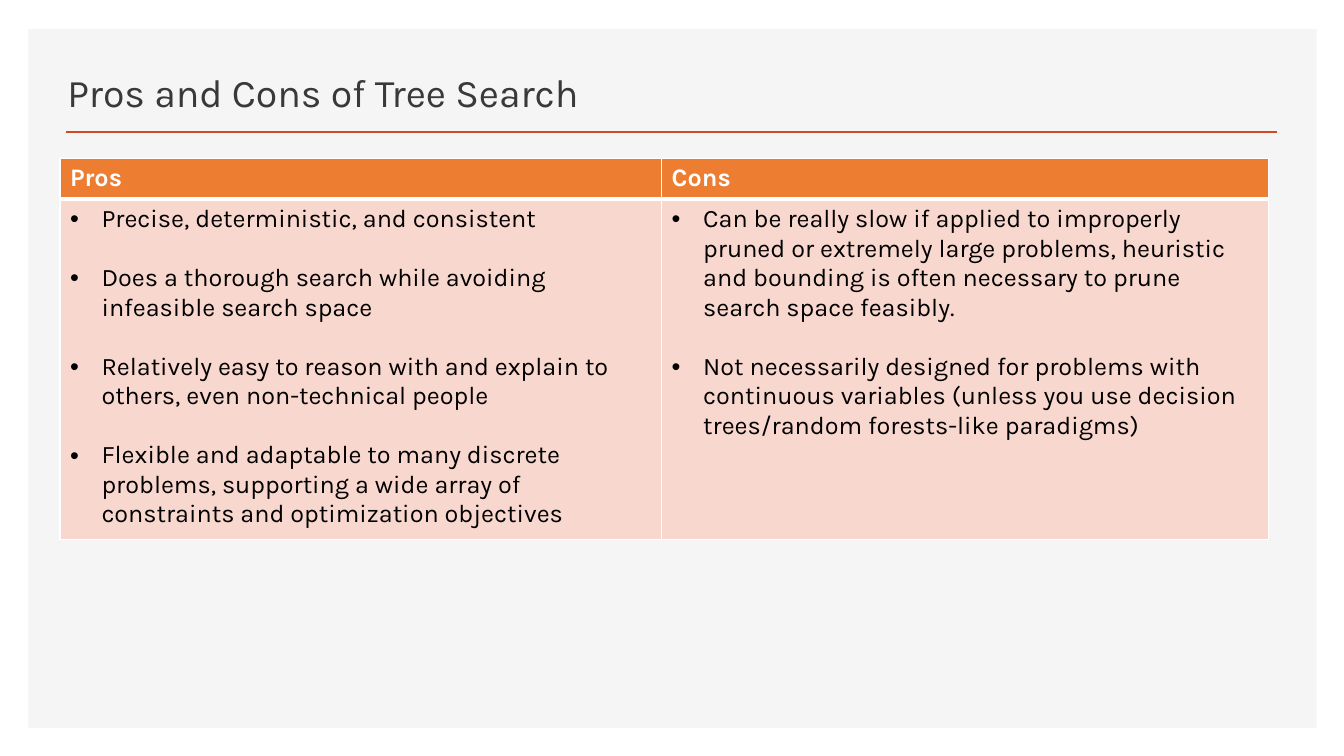
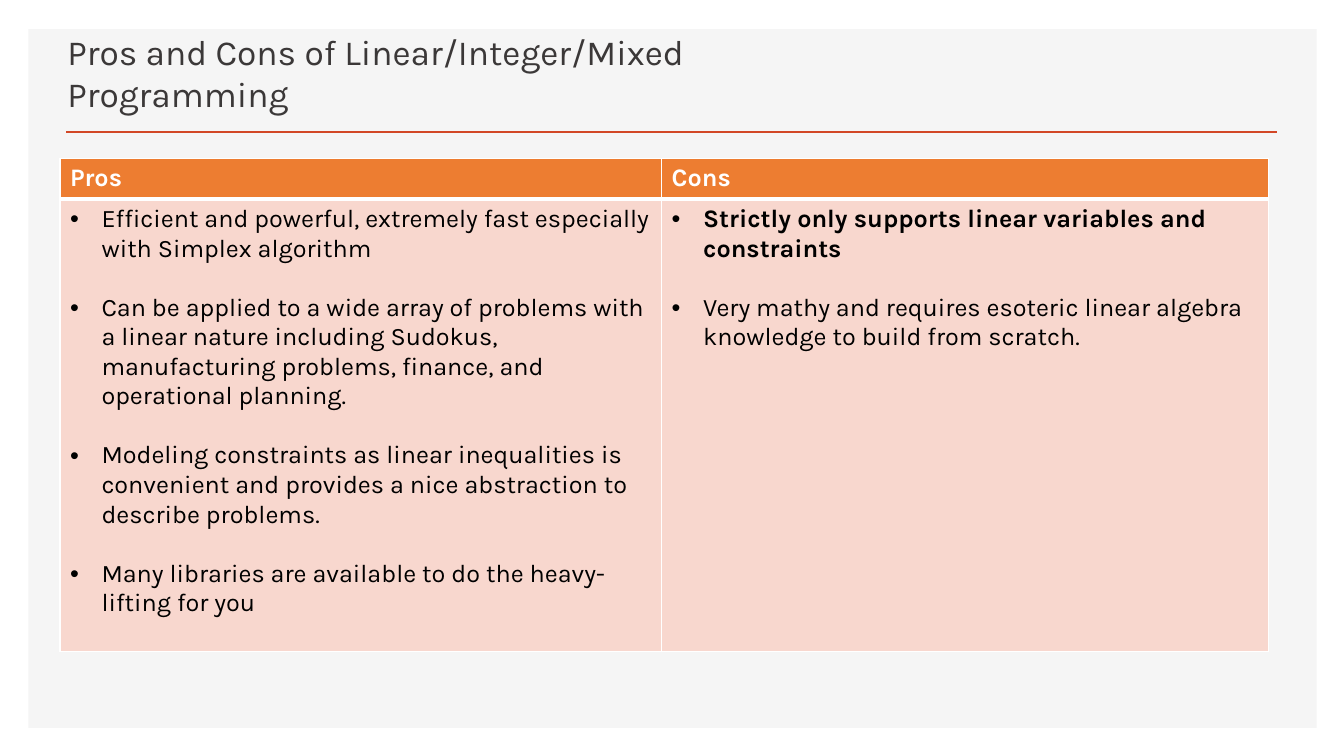
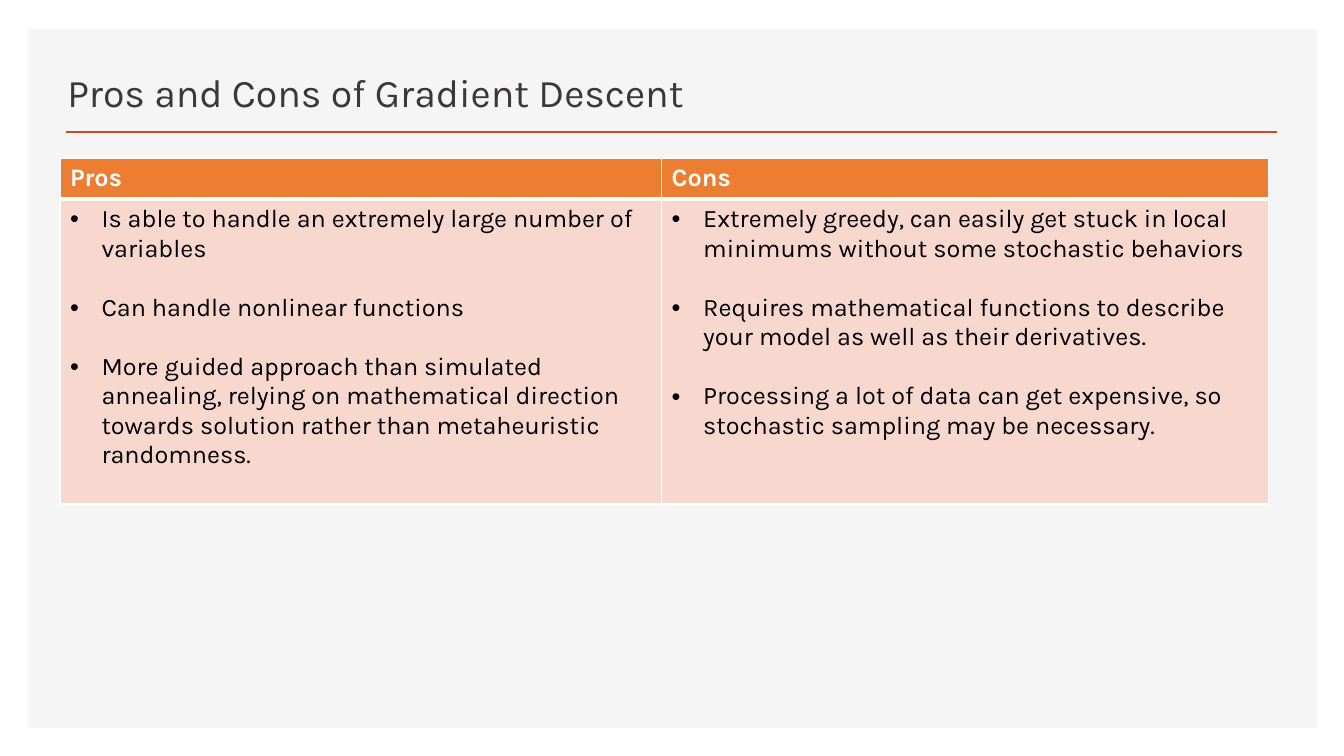
"""Build three slides that compare the pros and cons of optimization methods."""
import lxml.etree
import pptx
import pptx.dml.color
import pptx.enum.shapes
import pptx.enum.text
import pptx.oxml.ns
import pptx.util

Pt = pptx.util.Pt
qn = pptx.oxml.ns.qn

FONT = "Karla"
PANEL, RULE, TITLE = "F5F5F5", "D24726", "3B3838"
HEADER, BODY, WHITE, BLACK = "ED7D31", "F8D7CE", "FFFFFF", "000000"

PANEL_BOX = (20.2, 20.9, 920.2, 499)
TITLE_BOX = (41, 35.3, 600.5, 50.4)
RULE_LINE = (47.5, 94.3, 912.2)
TABLE_ORIGIN = (42.8, 113.2)
COLUMN_WIDTHS = (429.8, 433.4)
HEADER_HEIGHT = 29.2
TEXT_SIZE, LINE_HEIGHT, CELL_MARGIN, BULLET_INDENT = 18, 21.05, 3.6, 22.5

STRONG = "Strictly only supports linear variables and constraints"

COMPARISONS = [
    {
        "title": "Pros and Cons of Tree Search",
        "title_size": 28,
        "lines": 11,
        "pros": [
            "Precise, deterministic, and consistent",
            "Does a thorough search while avoiding infeasible search space",
            "Relatively easy to reason with and explain to others, even non-technical people",
            "Flexible and adaptable to many discrete problems, supporting a wide array of "
            "constraints and optimization objectives",
        ],
        "cons": [
            "Can be really slow if applied to improperly pruned or extremely large problems, "
            "heuristic and bounding is often necessary to prune search space feasibly.",
            "Not necessarily designed for problems with continuous variables (unless you use "
            "decision trees/random forests-like paradigms)",
        ],
    },
    {
        "title": "Pros and Cons of Linear/Integer/Mixed Programming",
        "title_size": 25.2,
        "lines": 15,
        "pros": [
            "Efficient and powerful, extremely fast especially with Simplex algorithm",
            "Can be applied to a wide array of problems with a linear nature including Sudokus, "
            "manufacturing problems, finance, and operational planning.",
            "Modeling constraints as linear inequalities is convenient and provides a nice "
            "abstraction to describe problems.",
            "Many libraries are available to do the heavy-lifting for you",
        ],
        "cons": [
            STRONG,
            "Very mathy and requires esoteric linear algebra knowledge to build from scratch.",
        ],
    },
    {
        "title": "Pros and Cons of Gradient Descent",
        "title_size": 28,
        "lines": 10,
        "pros": [
            "Is able to handle an extremely large number of variables",
            "Can handle nonlinear functions",
            "More guided approach than simulated annealing, relying on mathematical direction "
            "towards solution rather than metaheuristic randomness.",
        ],
        "cons": [
            "Extremely greedy, can easily get stuck in local minimums without some stochastic behaviors",
            "Requires mathematical functions to describe your model as well as their derivatives.",
            "Processing a lot of data can get expensive, so stochastic sampling may be necessary.",
        ],
    },
]


def set_color(target, color):
    """Give a colour format the colour of a hex string."""
    target.rgb = pptx.dml.color.RGBColor.from_string(color)


def fill_solid(item, color):
    """Fill a shape or cell with one colour."""
    item.fill.solid()
    set_color(item.fill.fore_color, color)


def style_paragraph(paragraph, size, color, bold=False):
    """Set the font of every run in a paragraph."""
    for run in paragraph.runs:
        run.font.name = FONT
        run.font.size = Pt(size)
        run.font.bold = bold
        set_color(run.font.color, color)


def add_panel(slide, box):
    """Draw the pale panel behind the content."""
    shape = slide.shapes.add_shape(
        pptx.enum.shapes.MSO_SHAPE.RECTANGLE, *map(Pt, box))
    shape.shadow.inherit = False
    shape.line.fill.background()
    fill_solid(shape, PANEL)


def add_rule(slide, left, top, right):
    """Draw the line under the title."""
    connector = slide.shapes.add_connector(
        pptx.enum.shapes.MSO_CONNECTOR.STRAIGHT, Pt(left), Pt(top), Pt(right), Pt(top))
    connector.line.width = Pt(2)
    set_color(connector.line.color, RULE)
    properties = connector._element.find(qn("p:spPr"))
    lxml.etree.SubElement(properties, qn("a:effectLst"))


def add_title(slide, box, text, size):
    """Write the slide title at the bottom of its box."""
    text_frame = slide.shapes.add_textbox(*map(Pt, box)).text_frame
    text_frame.word_wrap = True
    text_frame.vertical_anchor = pptx.enum.text.MSO_ANCHOR.BOTTOM
    text_frame.text = text
    style_paragraph(text_frame.paragraphs[0], size, TITLE)


def set_borders(cell, top, bottom):
    """Give a cell white borders with the given top and bottom widths."""
    properties = cell._tc.get_or_add_tcPr()
    for side, width in (("L", 1), ("R", 1), ("T", top), ("B", bottom)):
        line = lxml.etree.SubElement(properties, qn("a:ln" + side), w=str(Pt(width)))
        solid = lxml.etree.SubElement(line, qn("a:solidFill"))
        lxml.etree.SubElement(solid, qn("a:srgbClr"), val=WHITE)


def add_bullet(paragraph):
    """Give a paragraph a bullet with a hanging indent."""
    properties = paragraph._p.get_or_add_pPr()
    properties.set("marL", str(Pt(BULLET_INDENT)))
    properties.set("indent", str(-Pt(BULLET_INDENT)))
    lxml.etree.SubElement(properties, qn("a:buFont"), typeface="Arial")
    lxml.etree.SubElement(properties, qn("a:buChar"), char="•")


def fill_header_cell(cell, heading):
    """Write a column heading."""
    set_borders(cell, 1, 3)
    fill_solid(cell, HEADER)
    cell.text_frame.text = heading
    style_paragraph(cell.text_frame.paragraphs[0], TEXT_SIZE, WHITE, True)


def fill_body_cell(cell, points):
    """Write a bulleted list with one line of space between points."""
    set_borders(cell, 3, 1)
    fill_solid(cell, BODY)
    cell.text_frame.text = "\n".join(points)
    for index, paragraph in enumerate(cell.text_frame.paragraphs):
        add_bullet(paragraph)
        if index:
            paragraph.space_before = Pt(LINE_HEIGHT)
        style_paragraph(paragraph, TEXT_SIZE, BLACK, paragraph.text == STRONG)


def add_comparison_table(slide, origin, pros, cons, lines):
    """Place the two-column table, its body as tall as a number of text lines."""
    heights = (HEADER_HEIGHT, lines * LINE_HEIGHT + 2 * CELL_MARGIN)
    table = slide.shapes.add_table(
        2, 2, *map(Pt, (*origin, sum(COLUMN_WIDTHS), sum(heights)))).table
    for row, height in zip(table.rows, heights):
        row.height = Pt(height)
    for index, (heading, points) in enumerate((("Pros", pros), ("Cons", cons))):
        table.columns[index].width = Pt(COLUMN_WIDTHS[index])
        fill_header_cell(table.cell(0, index), heading)
        fill_body_cell(table.cell(1, index), points)


def add_comparison_slide(presentation, comparison):
    """Add one slide with its panel, title, rule and table."""
    slide = presentation.slides.add_slide(presentation.slide_layouts[6])
    add_panel(slide, PANEL_BOX)
    add_rule(slide, *RULE_LINE)
    add_title(slide, TITLE_BOX, comparison["title"], comparison["title_size"])
    add_comparison_table(
        slide, TABLE_ORIGIN, comparison["pros"], comparison["cons"], comparison["lines"])


def main():
    """Build and save the presentation."""
    presentation = pptx.Presentation()
    presentation.slide_width = Pt(960)
    presentation.slide_height = Pt(540)
    for comparison in COMPARISONS:
        add_comparison_slide(presentation, comparison)
    presentation.save("out.pptx")


if __name__ == "__main__":
    main()
